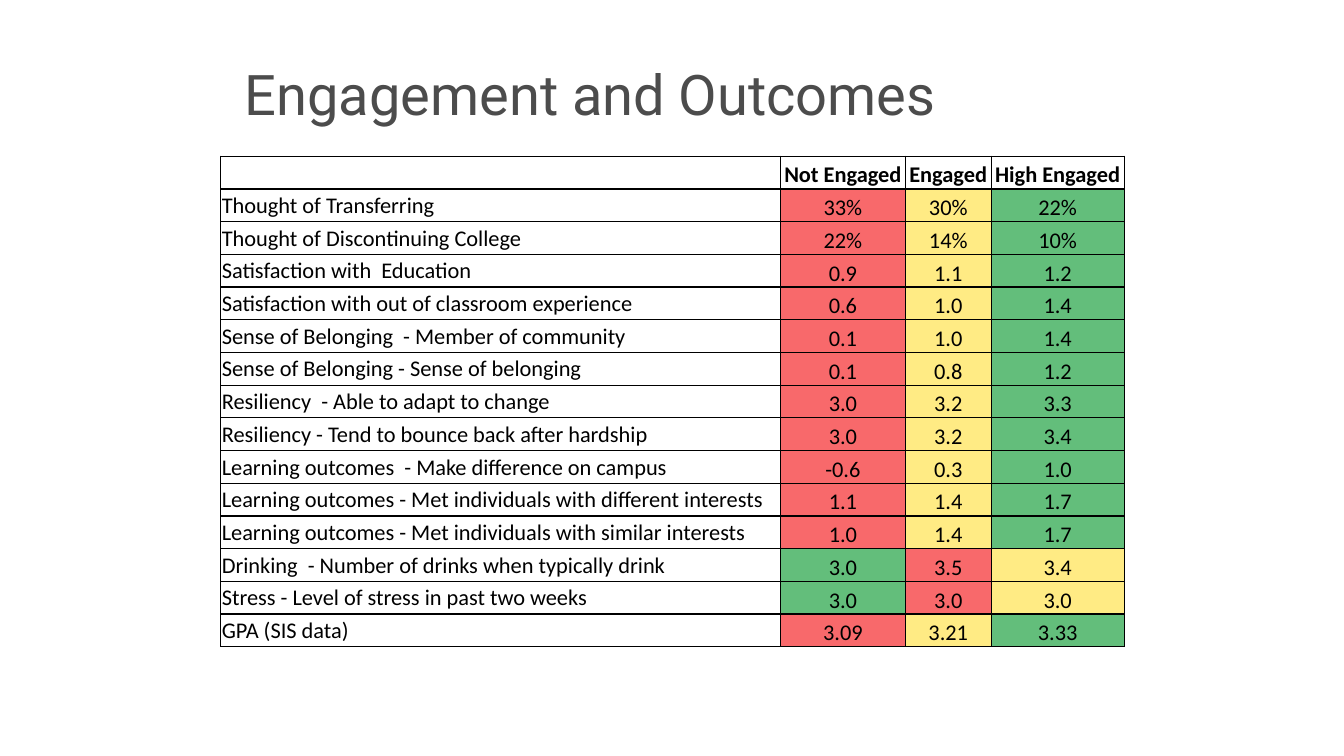
"""Build the slide that compares student outcomes by level of engagement."""
from lxml.etree import SubElement
from pptx import Presentation
from pptx.dml.color import RGBColor
from pptx.enum.text import MSO_ANCHOR as Anchor, PP_ALIGN as Align
from pptx.oxml.ns import qn
from pptx.util import Inches, Pt

WIDTH, HEIGHT = 13.33, 7.5
TITLE_AREA = (2.33, 0.3, 10.34, 1.25)
TABLE_AREA = (2.19, 1.55, 8.96, 4.87)
COLUMN_WIDTHS = (5.55, 1.24, 0.85, 1.32)
BLACK, GREY = "000000", "4C4C4C"
RED, YELLOW, GREEN = "F8696B", "FFEB84", "63BE7B"
RISING = (RED, YELLOW, GREEN)
MIXED = (GREEN, RED, YELLOW)

HEADER = ("", "Not Engaged", "Engaged", "High Engaged")
OUTCOMES = (
    ("Thought of Transferring", "33%", "30%", "22%", RISING),
    ("Thought of Discontinuing College", "22%", "14%", "10%", RISING),
    ("Satisfaction with  Education", "0.9", "1.1", "1.2", RISING),
    ("Satisfaction with out of classroom experience", "0.6", "1.0", "1.4", RISING),
    ("Sense of Belonging  - Member of community", "0.1", "1.0", "1.4", RISING),
    ("Sense of Belonging - Sense of belonging", "0.1", "0.8", "1.2", RISING),
    ("Resiliency  - Able to adapt to change", "3.0", "3.2", "3.3", RISING),
    ("Resiliency - Tend to bounce back after hardship", "3.0", "3.2", "3.4", RISING),
    ("Learning outcomes  - Make difference on campus", "-0.6", "0.3", "1.0", RISING),
    ("Learning outcomes - Met individuals with different interests", "1.1", "1.4", "1.7", RISING),
    ("Learning outcomes - Met individuals with similar interests", "1.0", "1.4", "1.7", RISING),
    ("Drinking  - Number of drinks when typically drink", "3.0", "3.5", "3.4", MIXED),
    ("Stress - Level of stress in past two weeks", "3.0", "3.0", "3.0", MIXED),
    ("GPA (SIS data)", "3.09", "3.21", "3.33", RISING),
)


def color(value):
    """Turn a hex string into a colour."""
    return RGBColor.from_string(value)


def write(frame, text, font, size, ink, bold=False, align=Align.LEFT):
    """Put one formatted paragraph into a text frame."""
    frame.text = text
    para = frame.paragraphs[0]
    para.alignment = align
    for span in para.runs:
        span.font.name = font
        span.font.size = Pt(size)
        span.font.bold = bold
        span.font.color.rgb = color(ink)


def add_title(page, text):
    """Add the slide's heading."""
    box = page.shapes.add_textbox(*map(Inches, TITLE_AREA))
    frame = box.text_frame
    frame.word_wrap = True
    frame.vertical_anchor = Anchor.MIDDLE
    write(frame, text, "Roboto", 40, GREY)


def add_borders(cell):
    """Draw a thin black line on all four sides of a cell."""
    properties = cell._tc.get_or_add_tcPr()
    for side in ("a:lnL", "a:lnR", "a:lnT", "a:lnB"):
        line = SubElement(properties, qn(side), w=str(Pt(1)))
        fill = SubElement(line, qn("a:solidFill"))
        SubElement(fill, qn("a:srgbClr"), val=BLACK)


def fill_cell(cell, text, is_label, is_header, shade):
    """Write, align, outline and shade one table cell."""
    cell.margin_left = cell.margin_right = cell.margin_top = Inches(0.01)
    cell.margin_bottom = 0
    cell.vertical_anchor = Anchor.MIDDLE if is_label else Anchor.BOTTOM
    align = Align.LEFT if is_label else Align.CENTER
    write(cell.text_frame, text, "Calibri", 16, BLACK, is_header, align)
    add_borders(cell)
    if shade:
        cell.fill.solid()
        cell.fill.fore_color.rgb = color(shade)
    else:
        cell.fill.background()


def add_outcomes(page):
    """Add the table of outcomes with one column per engagement level."""
    rows = [(*HEADER, (None, None, None)), *OUTCOMES]
    area = map(Inches, TABLE_AREA)
    table = page.shapes.add_table(len(rows), len(HEADER), *area).table
    table.first_row = table.horz_banding = False
    for column, width in zip(table.columns, COLUMN_WIDTHS):
        column.width = Inches(width)
    for row, (*texts, shades) in enumerate(rows):
        table.rows[row].height = Inches(TABLE_AREA[3] / len(rows))
        for column, (text, shade) in enumerate(zip(texts, (None, *shades))):
            fill_cell(table.cell(row, column), text, column == 0, row == 0, shade)


def main():
    """Create the deck and save it."""
    deck = Presentation()
    deck.slide_width, deck.slide_height = Inches(WIDTH), Inches(HEIGHT)
    page = deck.slides.add_slide(deck.slide_layouts[6])
    add_title(page, "Engagement and Outcomes")
    add_outcomes(page)
    deck.save("out.pptx")


if __name__ == "__main__":
    main()
